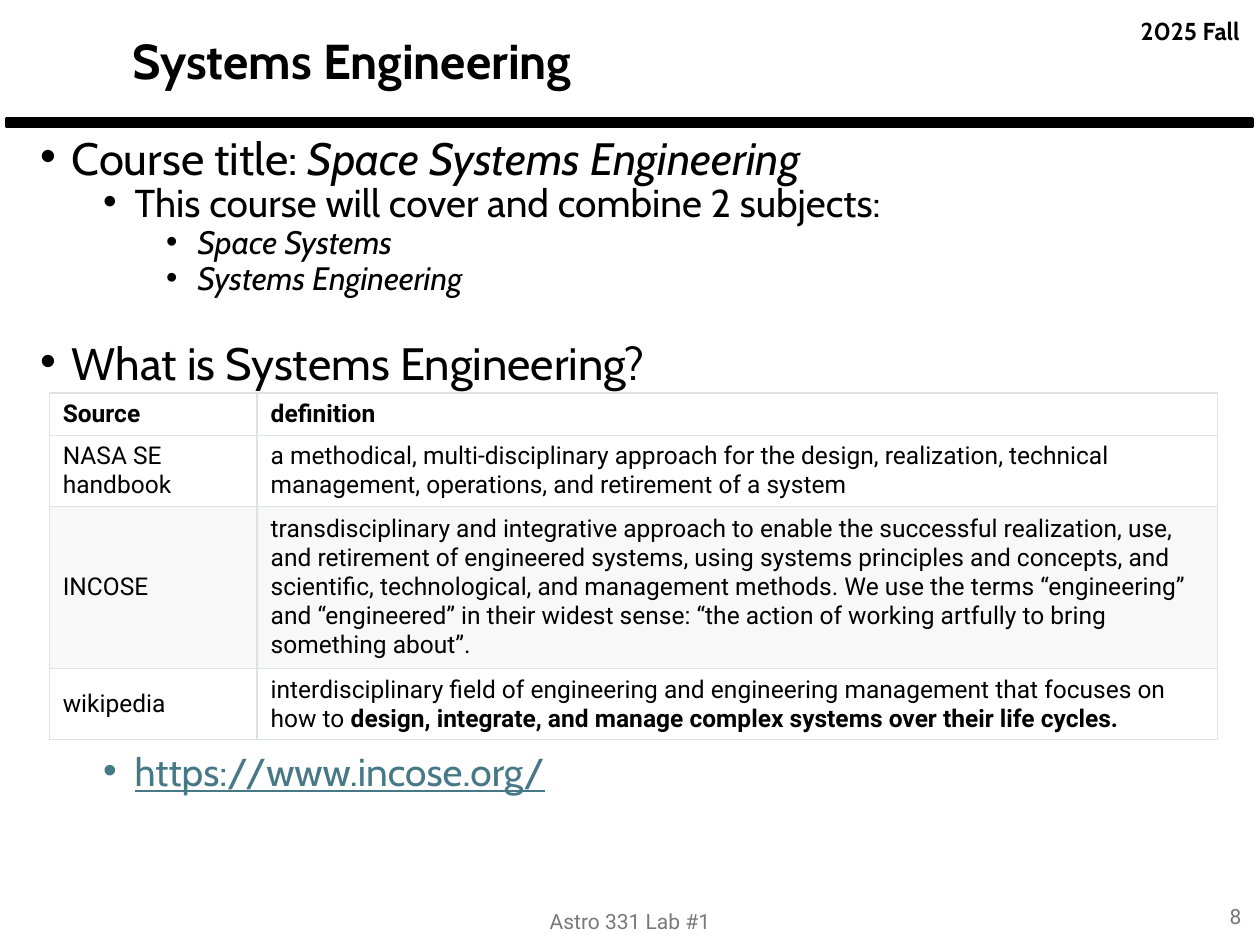
from lxml import etree
from pptx import Presentation
from pptx import util as u
from pptx.dml import color
from pptx.enum import shapes, text
from pptx.oxml import ns

Pt = u.Pt
HEAD, BODY = "Cabin", "Roboto"
BLACK, GREY, BLUE = "000000", "797979", "467886"
WHITE, PALE, RULE = "FFFFFF", "F8F8F8", "DFE2E5"
MID = text.MSO_ANCHOR.MIDDLE
LEFT, RIGHT, CENTER = (text.PP_ALIGN.LEFT, text.PP_ALIGN.RIGHT,
                       text.PP_ALIGN.CENTER)


def rgb(code):
    return color.RGBColor.from_string(code)


def node(parent, tag, **attrs):
    return etree.SubElement(parent, ns.qn("a:" + tag), attrs)


class Page:
    def __init__(self, deck):
        self.slide = deck.slides.add_slide(deck.slide_layouts[1])
        self.items = self.slide.shapes

    def place(self, shape, box):
        shape.left, shape.top, shape.width, shape.height = map(Pt, box)

    def run(self, para, words, font, size, ink=BLACK, bold=False,
            slant=False, under=False):
        run = para.add_run()
        run.text = words
        face = run.font
        face.name, face.size = font, Pt(size)
        face.bold, face.italic, face.underline = bold, slant, under
        face.color.rgb = rgb(ink)

    def label(self, box, words, font, size, ink, align, bold=False,
              anchor=MID):
        frame = self.items.add_textbox(*map(Pt, box)).text_frame
        frame.word_wrap = True
        frame.vertical_anchor = anchor
        para = frame.paragraphs[0]
        para.alignment = align
        self.run(para, words, font, size, ink, bold)

    def bar(self, box):
        shape = self.items.add_shape(shapes.MSO_SHAPE.RECTANGLE,
                                     *map(Pt, box))
        shape.shadow.inherit = False
        shape.fill.solid()
        shape.fill.fore_color.rgb = rgb(BLACK)
        shape.line.color.rgb = rgb(BLACK)
        shape.line.width = Pt(1.5)

    def title(self, box, words):
        shape = self.items.title
        self.place(shape, box)
        frame = shape.text_frame
        frame.auto_size = text.MSO_AUTO_SIZE.NONE
        frame.vertical_anchor = MID
        para = frame.paragraphs[0]
        para.alignment = LEFT
        para.line_spacing = 0.9
        self.run(para, words, HEAD, 28, bold=True)

    def list(self, box, rows):
        shape = self.slide.placeholders[1]
        self.place(shape, box)
        frame = shape.text_frame
        frame.auto_size = text.MSO_AUTO_SIZE.NONE
        for i, (level, gap, runs) in enumerate(rows):
            para = frame.paragraphs[0] if i == 0 else frame.add_paragraph()
            para.level = level
            props = para._p.get_or_add_pPr()
            props.set("marL", str(Pt(18 + 36 * level)))
            props.set("indent", str(Pt(-18)))
            node(props, "buFont", typeface="Arial")
            node(props, "buChar", char="•")
            para.line_spacing = 0.7
            para.space_before = Pt(gap)
            for words, style in runs:
                self.run(para, words, HEAD, SIZES[level], **style)

    def cell(self, cell, runs, fill):
        cell.vertical_anchor = MID
        cell.margin_left = cell.margin_right = Pt(7.8)
        cell.margin_top = cell.margin_bottom = Pt(3.6)
        props = cell._tc.get_or_add_tcPr()
        for side in ("lnL", "lnR", "lnT", "lnB"):
            line = node(props, side, w=str(Pt(0.75)))
            node(node(line, "solidFill"), "srgbClr", val=RULE)
        cell.fill.solid()
        cell.fill.fore_color.rgb = rgb(fill)
        for words, bold in runs:
            self.run(cell.text_frame.paragraphs[0], words, BODY, 14,
                     bold=bold)

    def table(self, box, wide, high, rows):
        grid = self.items.add_table(len(rows), len(wide),
                                    *map(Pt, box)).table
        for col, size in zip(grid.columns, wide):
            col.width = Pt(size)
        for r, (size, cells) in enumerate(zip(high, rows)):
            grid.rows[r].height = Pt(size)
            for c, runs in enumerate(cells):
                self.cell(grid.cell(r, c), runs, PALE if r == 2 else WHITE)


SIZES = (25.9, 22.2, 18.5)
SLANT = {"slant": True}

# Level, space before, runs; the last gap leaves room for the table
POINTS = [
    (0, 0, [("Course title: ", {}), ("Space Systems Engineering", SLANT)]),
    (1, 5, [("This course will cover and combine 2 subjects:", {})]),
    (2, 5, [("Space Systems", SLANT)]),
    (2, 5, [("Systems Engineering", SLANT)]),
    (0, 30.7, [("What is Systems Engineering?", {})]),
    (1, 213, [("https://www.incose.org/", {"ink": BLUE, "under": True})]),
]

TERMS = [
    ([("Source", True)], [("definition", True)]),
    ([("NASA SE handbook", False)],
     [("a methodical, multi-disciplinary approach for the design, "
       "realization, technical management, operations, and retirement of "
       "a system", False)]),
    ([("INCOSE", False)],
     [("transdisciplinary and integrative approach to enable the "
       "successful realization, use, and retirement of engineered systems, "
       "using systems principles and concepts, and scientific, "
       "technological, and management methods. We use the terms "
       "“engineering” and “engineered” in their widest sense: “the action "
       "of working artfully to bring something about”.", False)]),
    ([("wikipedia", False)],
     [("interdisciplinary field of engineering and engineering management "
       "that focuses on how to ", False),
      ("design, integrate, and manage complex systems over their life "
       "cycles.", True)]),
]


def main():
    deck = Presentation()
    deck.slide_width, deck.slide_height = Pt(720), Pt(540)
    page = Page(deck)

    # Header
    page.label((639, 5.8, 76.5, 24.5), "2025 Fall", HEAD, 14, BLACK, RIGHT,
               bold=True, anchor=text.MSO_ANCHOR.TOP)
    page.bar((3.6, 67.7, 712, 5))
    page.title((68.4, 10.8, 620.6, 51), "Systems Engineering")

    # Main points
    page.list((15.8, 79.2, 692.6, 412), POINTS)

    # Footer
    page.label((238.3, 512, 243.4, 28.8), "Astro 331 Lab #1", BODY, 12,
               GREY, CENTER)
    page.label((554.4, 509, 162, 28.8), "8", BODY, 12, GREY, RIGHT)

    # Definitions
    page.table((28.1, 224.6, 667.4, 197), (118.8, 548.6),
               (24, 40, 92.5, 40.5), TERMS)
    deck.save("out.pptx")


if __name__ == "__main__":
    main()
